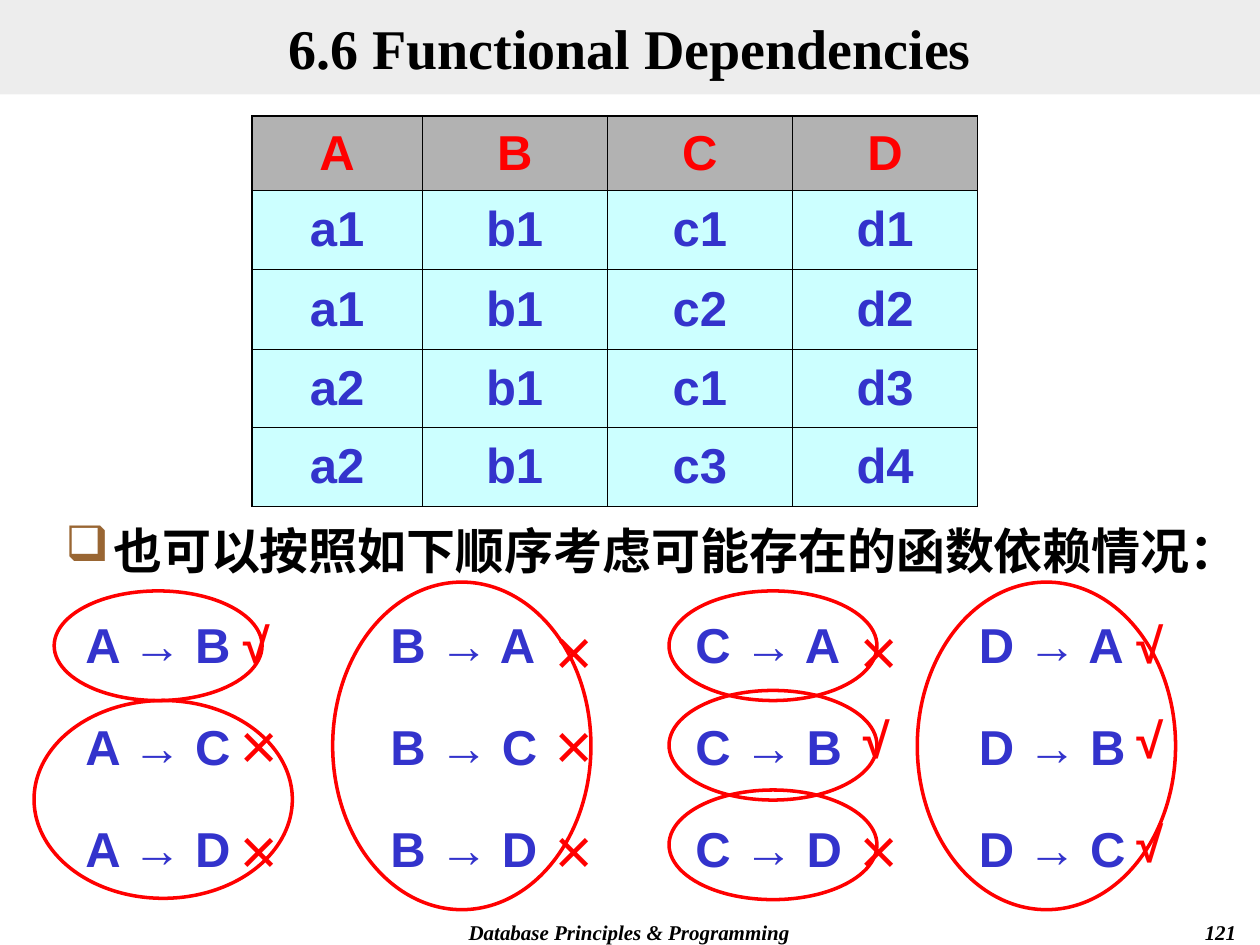
from lxml.etree import SubElement
from pptx import Presentation
from pptx.dml.color import RGBColor
from pptx.enum.shapes import MSO_SHAPE
from pptx.enum.text import MSO_ANCHOR, MSO_AUTO_SIZE, PP_ALIGN
from pptx.oxml.ns import qn
from pptx.util import Inches, Pt

BLACK = RGBColor(0x00, 0x00, 0x00)
WHITE = RGBColor(0xFF, 0xFF, 0xFF)
RED = RGBColor(0xFF, 0x00, 0x00)
BLUE = RGBColor(0x33, 0x33, 0xCC)
BROWN = RGBColor(0x99, 0x66, 0x33)
BAND_GREY = RGBColor(0xDD, 0xDD, 0xDD)
HEAD_GREY = RGBColor(0xB2, 0xB2, 0xB2)
CYAN = RGBColor(0xCC, 0xFF, 0xFF)

SERIF, SANS = "Times New Roman", "Arial"
TITLE = dict(name=SERIF, size=Pt(32), bold=True)
FOOTER = dict(name=SERIF, size=Pt(12), bold=True, italic=True)
BODY = dict(name=SANS, size=Pt(28), bold=True)
CROSS = dict(name=SERIF, size=Pt(24), bold=True)

TABLE_ROWS = [
    ["A", "B", "C", "D"],
    ["a1", "b1", "c1", "d1"],
    ["a1", "b1", "c2", "d2"],
    ["a2", "b1", "c1", "d3"],
    ["a2", "b1", "c3", "d4"],
]
COL_WIDTHS = [1.35, 1.47, 1.47, 1.47]
ROW_HEIGHTS = [0.59, 0.63, 0.63, 0.62, 0.63]

# Determinant, box left, width, height, mark left, marks from top to bottom
DEPENDENCIES = [
    ("A", 0.58, 2.08, 2.17, 1.83, "√☓☓"),
    ("B", 3, 2, 2.42, 4.33, "☓☓☓"),
    ("C", 5.42, 1.92, 2.42, 6.75, "☓√☓"),
    ("D", 7.67, 2, 2.42, 8.92, "√√√"),
]
MARK_BOTTOMS = [5.5, 6.25, 7.08]
MARK_STYLES = {"√": (0.67, BODY), "☓": (0.58, CROSS)}

SMALL, MEDIUM, LARGE = (1.65, 0.87), (2.05, 1.57), (2.05, 2.6)
ELLIPSES = [
    (2.64, 4.62, LARGE),
    (0.43, 4.69, SMALL),
    (5.31, 5.48, SMALL),
    (0.27, 5.56, MEDIUM),
    (5.31, 4.69, SMALL),
    (5.31, 6.27, SMALL),
    (7.28, 4.62, LARGE),
]


def write(p, text, style, color, align=PP_ALIGN.LEFT):
    p.alignment = align
    r = p.add_run()
    r.text = text
    for key, value in style.items():
        setattr(r.font, key, value)
    r.font.color.rgb = color


def add_text(s, box, lines, style, color, align=PP_ALIGN.LEFT, gap=0):
    sp = s.shapes.add_textbox(*map(Inches, box))
    tf = sp.text_frame
    tf.word_wrap = True
    for i, line in enumerate(lines):
        p = tf.add_paragraph() if i else tf.paragraphs[0]
        if i:
            p.space_before = Pt(gap)
        write(p, line, style, color, align)
    return sp


def add_title(s, text):
    sp = s.shapes.title
    sp.left, sp.top, sp.width, sp.height = map(Inches, (0, 0, 10, 0.75))
    sp.fill.solid()
    sp.fill.fore_color.rgb = BAND_GREY
    color = sp.fill._xPr.find(".//" + qn("a:srgbClr"))
    SubElement(color, qn("a:alpha"), val="50000")
    tf = sp.text_frame
    tf.auto_size = MSO_AUTO_SIZE.NONE
    tf.vertical_anchor = MSO_ANCHOR.MIDDLE
    tf.margin_top = tf.margin_bottom = 0
    write(tf.paragraphs[0], text, TITLE, BLACK, PP_ALIGN.CENTER)


def add_bullet(p, char, color):
    pPr = p._p.get_or_add_pPr()
    pPr.set("marL", str(Inches(0.38)))
    pPr.set("indent", str(-Inches(0.38)))
    SubElement(SubElement(pPr, qn("a:buClr")), qn("a:srgbClr"), val=str(color))
    SubElement(pPr, qn("a:buChar"), char=char)


def set_border(cell, side, width):
    ln = SubElement(cell._tc.get_or_add_tcPr(), qn("a:" + side), w=str(Pt(width)))
    fill = SubElement(ln, qn("a:solidFill"))
    SubElement(fill, qn("a:srgbClr"), val=str(BLACK))


def add_relation_table(s):
    n_rows, n_cols = len(TABLE_ROWS), len(COL_WIDTHS)
    box = (2, 0.92, sum(COL_WIDTHS), sum(ROW_HEIGHTS))
    table = s.shapes.add_table(n_rows, n_cols, *map(Inches, box)).table
    for col, width in zip(table.columns, COL_WIDTHS):
        col.width = Inches(width)
    for row, height in zip(table.rows, ROW_HEIGHTS):
        row.height = Inches(height)
    for i, values in enumerate(TABLE_ROWS):
        for j, value in enumerate(values):
            cell = table.cell(i, j)
            cell.vertical_anchor = MSO_ANCHOR.MIDDLE
            # Outer edges are heavier than inner ones
            outer = dict(lnL=j == 0, lnR=j == n_cols - 1,
                         lnT=i == 0, lnB=i == n_rows - 1)
            for side, is_outer in outer.items():
                set_border(cell, side, 1.08 if is_outer else 0.45)
            cell.fill.solid()
            cell.fill.fore_color.rgb = CYAN if i else HEAD_GREY
            write(cell.text_frame.paragraphs[0], value, BODY,
                  BLUE if i else RED, PP_ALIGN.CENTER)


def add_dependencies(s, letter, left, width, height, mark_left, marks):
    lines = [f"{letter} → {other}" for other in "ABCD" if other != letter]
    sp = add_text(s, (left, 4.83, width, height), lines, BODY, BLUE, gap=24.5)
    sp.fill.solid()
    sp.fill.fore_color.rgb = WHITE
    for mark, bottom in zip(marks, MARK_BOTTOMS):
        size, style = MARK_STYLES[mark]
        add_text(s, (mark_left, bottom - size, 0.67, size), [mark], style, RED)


def add_ellipse(s, left, top, size):
    sp = s.shapes.add_shape(MSO_SHAPE.OVAL, *map(Inches, (left, top, *size)))
    sp.shadow.inherit = False
    sp.fill.background()
    sp.line.color.rgb = RED
    sp.line.width = Pt(2)


def main():
    prs = Presentation()
    prs.slide_width, prs.slide_height = Inches(10), Inches(7.5)
    s = prs.slides.add_slide(prs.slide_layouts[5])

    # Footer and title
    add_text(s, (2.83, 7.25, 4.33, 0.25), ["Database Principles & Programming"],
             FOOTER, BLACK, PP_ALIGN.CENTER)
    add_text(s, (7.83, 7.25, 2.08, 0.25), ["121"], FOOTER, BLACK, PP_ALIGN.RIGHT)
    add_title(s, "6.6 Functional Dependencies")

    # Relation and lead-in line
    add_relation_table(s)
    lead = add_text(s, (0.42, 4.08, 9.58, 0.67),
                    ["也可以按照如下顺序考虑可能存在的函数依赖情况："], BODY, BLACK)
    add_bullet(lead.text_frame.paragraphs[0], "❑", BROWN)

    # Candidate dependencies with their marks
    for column in DEPENDENCIES:
        add_dependencies(s, *column)

    # Rings around the groups
    for ellipse in ELLIPSES:
        add_ellipse(s, *ellipse)

    prs.save("out.pptx")


if __name__ == "__main__":
    main()
